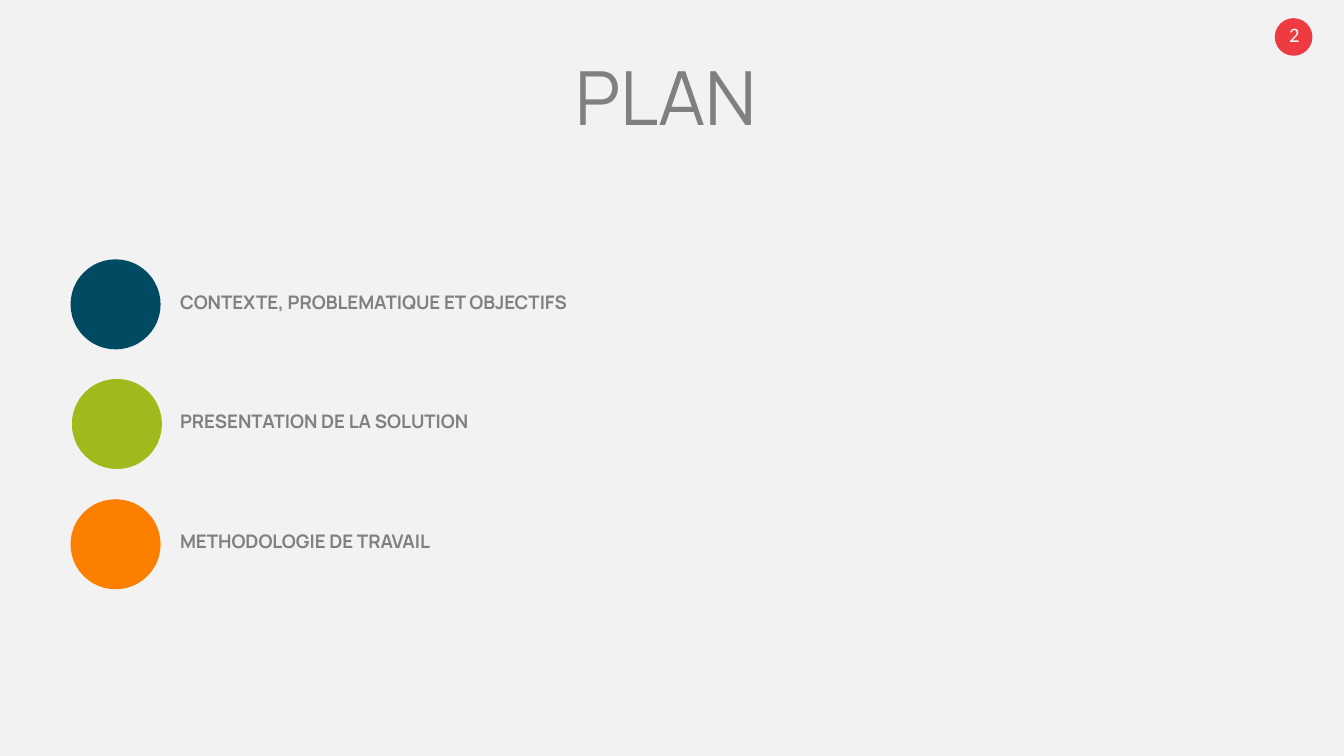
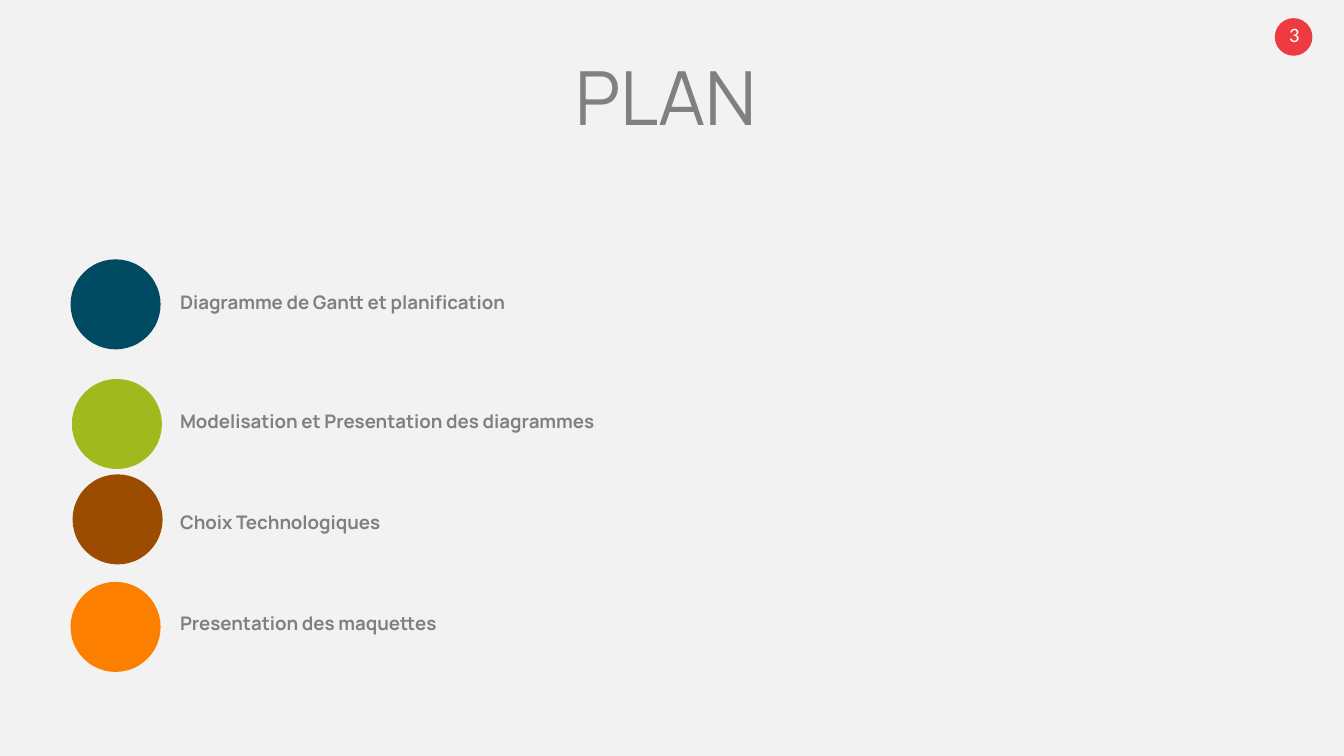
"""Build the two plan slides."""
from dataclasses import dataclass
from typing import NamedTuple

import pptx
import pptx.dml.color
import pptx.enum.shapes
import pptx.enum.text
import pptx.util

SCALE = 4572
ALIGN = pptx.enum.text.PP_ALIGN
ANCHOR = pptx.enum.text.MSO_ANCHOR


@dataclass(frozen=True)
class Theme:
    """Colours, fonts and type sizes."""
    ground: str = "F2F2F2"
    grey: str = "808080"
    white: str = "FFFFFF"
    red: str = "EE3B42"
    blue: str = "004B62"
    green: str = "A0BA1E"
    brown: str = "9B4C00"
    orange: str = "FD7F00"
    font: str = "Manrope"
    digit: str = "Calibri"
    big: int = 40
    small: int = 10
    page: int = 11


class Box(NamedTuple):
    """A place in px."""
    left: int
    top: int
    width: int
    height: int


class Style(NamedTuple):
    """The look of a line of text."""
    font: str
    size: int
    color: str
    bold: bool = False
    align: ALIGN = ALIGN.LEFT
    anchor: ANCHOR = ANCHOR.TOP
    inset: tuple[int, int, int, int] = (20, 10, 20, 10)
    space: float = 1.0


class Item(NamedTuple):
    """A dot with its label."""
    text: str
    color: str
    left: int
    top: int
    base: int


THEME = Theme()
TITLE = Style(THEME.font, THEME.big, THEME.grey, align=ALIGN.CENTER,
              inset=(0, 10, 20, 10), space=0.9)
LABEL = Style(THEME.font, THEME.small, THEME.grey, bold=True,
              inset=(0, 16, 0, 16), space=0.9)
PAGE = Style(THEME.digit, THEME.page, THEME.white, align=ALIGN.CENTER,
             anchor=ANCHOR.MIDDLE)

FIRST = 2
PLANS = (
    (
        Item("CONTEXTE, PROBLEMATIQUE ET OBJECTIFS", THEME.blue, 105, 386, 420),
        Item("PRESENTATION DE LA SOLUTION", THEME.green, 107, 564, 598),
        Item("METHODOLOGIE DE TRAVAIL", THEME.orange, 105, 743, 777),
    ),
    (
        Item("Diagramme de Gantt et planification", THEME.blue, 105, 386, 420),
        Item("Modelisation et Presentation des diagrammes", THEME.green, 107, 564, 598),
        Item("Choix Technologiques", THEME.brown, 108, 706, 748),
        Item("Presentation des maquettes", THEME.orange, 105, 866, 899),
    ),
)


def emu(px: int) -> pptx.util.Emu:
    """Turn px into EMU."""
    return pptx.util.Emu(px * SCALE)


def rgb(code: str) -> pptx.dml.color.RGBColor:
    """Read a hex colour."""
    return pptx.dml.color.RGBColor.from_string(code)


def write(shape, text: str, style: Style) -> None:
    """Put one styled run in a shape."""
    frame = shape.text_frame
    frame.word_wrap = True
    frame.auto_size = pptx.enum.text.MSO_AUTO_SIZE.NONE
    frame.vertical_anchor = style.anchor
    (frame.margin_left, frame.margin_top,
     frame.margin_right, frame.margin_bottom) = map(emu, style.inset)
    para = frame.paragraphs[0]
    para.alignment = style.align
    para.line_spacing = style.space
    para.space_before = pptx.util.Pt(0)
    run = para.add_run()
    run.text = text
    run.font.name = style.font
    run.font.size = pptx.util.Pt(style.size)
    run.font.bold = style.bold
    run.font.color.rgb = rgb(style.color)


def label(slide, box: Box, text: str, style: Style) -> None:
    """Add a text box."""
    write(slide.shapes.add_textbox(*map(emu, box)), text, style)


def dot(slide, box: Box, color: str) -> None:
    """Add a fully rounded shape."""
    kind = pptx.enum.shapes.MSO_SHAPE.ROUNDED_RECTANGLE
    shape = slide.shapes.add_shape(kind, *map(emu, box))
    shape.adjustments[0] = 0.5
    shape.shadow.inherit = False
    shape.fill.solid()
    shape.fill.fore_color.rgb = rgb(color)
    shape.line.fill.background()


def head(slide, title: str) -> None:
    """Place and write the title."""
    shape = slide.shapes.title
    shape.left, shape.top, shape.width, shape.height = map(emu, Box(546, 81, 910, 126))
    write(shape, title, TITLE)


def badge(slide, number: int) -> None:
    """Add the page number on its red dot."""
    dot(slide, Box(897, 27, 56, 56)._replace(left=1897), THEME.red)
    label(slide, Box(1866, 21, 120, 60), str(number), PAGE)


def build(deck, number: int, items: tuple[Item, ...]) -> None:
    """Add one plan slide."""
    slide = deck.slides.add_slide(deck.slide_layouts.get_by_name("Title Only"))
    badge(slide, number)
    head(slide, "PLAN")
    for item in items:
        dot(slide, Box(item.left, item.top, 134, 134), item.color)
        label(slide, Box(268, item.base, 646, 66), item.text, LABEL)


def main() -> None:
    """Make and save the deck."""
    deck = pptx.Presentation()
    deck.slide_width, deck.slide_height = emu(2000), emu(1125)
    fill = deck.slide_master.background.fill
    fill.solid()
    fill.fore_color.rgb = rgb(THEME.ground)
    for number, items in enumerate(PLANS, FIRST):
        build(deck, number, items)
    deck.save("out.pptx")


if __name__ == "__main__":
    main()
